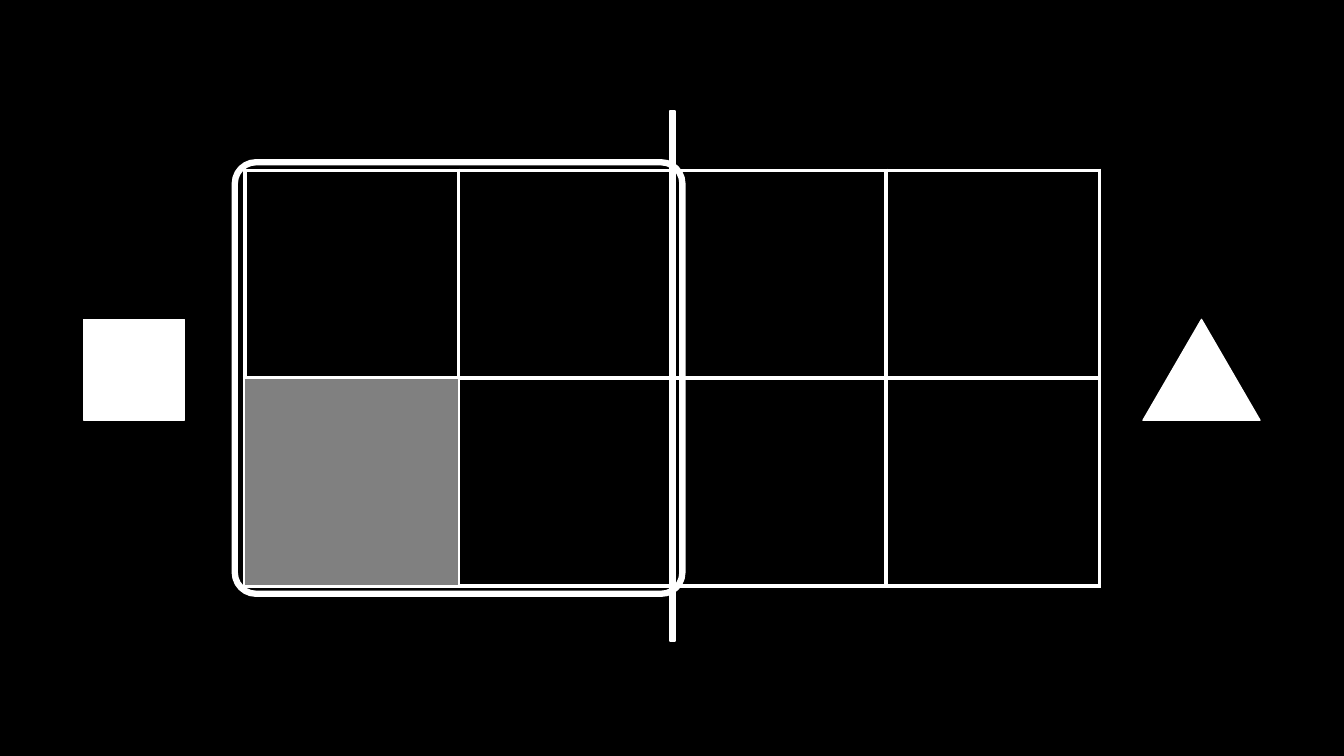
from lxml.etree import SubElement
from pptx import Presentation
from pptx.dml.color import RGBColor
from pptx.enum.shapes import MSO_SHAPE as Preset
from pptx.oxml.ns import qn
from pptx.util import Pt

COLORS = {"black": "000000", "white": "FFFFFF", "gray": "808080"}
SLIDE_BOX = (0, 0, 960, 540)
GRID_BOX = (174.75, 121.7, 610.6, 296.7)
SQUARE_BOX = (59.7, 228.2, 72, 72)
TRIANGLE_BOX = (816.5, 228.2, 83.5, 72)
ROWS, COLUMNS = 2, 4


def add_figure(slide, preset, box, fill=None, line="white", weight=1):
    shape = slide.shapes.add_shape(preset, *map(Pt, box))
    shape.shadow.inherit = False
    if fill:
        shape.fill.solid()
        shape.fill.fore_color.rgb = RGBColor.from_string(COLORS[fill])
    else:
        shape.fill.background()
    shape.line.color.rgb = RGBColor.from_string(COLORS[line])
    shape.line.width = Pt(weight)
    return shape


def set_borders(cell, color, weight):
    properties = cell._tc.get_or_add_tcPr()
    # Borders must come before the fill in the cell properties
    for index, side in enumerate(("lnL", "lnR", "lnT", "lnB")):
        border = SubElement(properties, qn(f"a:{side}"), w=str(Pt(weight)))
        solid = SubElement(border, qn("a:solidFill"))
        SubElement(solid, qn("a:srgbClr"), val=COLORS[color])
        properties.insert(index, border)


def add_grid(slide, box):
    table = slide.shapes.add_table(ROWS, COLUMNS, *map(Pt, box)).table
    table.first_row = table.horz_banding = False
    for column in table.columns:
        column.width = Pt(box[2] / COLUMNS)
    for row in table.rows:
        row.height = Pt(box[3] / ROWS)
    for cell in table.iter_cells():
        cell.fill.background()
        set_borders(cell, "white", 3)


def add_grid_marks(slide, box):
    left, top, width, height = box
    # Divider down the middle, reaching past the grid
    add_figure(slide, Preset.RECTANGLE,
               (left + width / 2 - 1.5, top - 42.3, 3.6, 378.6), "white")
    # Rounded frame around the left half
    frame = add_figure(slide, Preset.ROUNDED_RECTANGLE,
                       (left - 7, top - 5.8, width / 2 + 14.4, height + 11.5),
                       weight=4.5)
    frame.adjustments[0] = 0.049
    # Shaded lower left cell
    cell_width, cell_height = width / COLUMNS, height / ROWS
    add_figure(slide, Preset.RECTANGLE,
               (left, top + cell_height, cell_width + 0.5, cell_height), "gray")


def build_slide(slide, box):
    add_figure(slide, Preset.RECTANGLE, box, "black", "black")
    add_grid(slide, GRID_BOX)
    # Symbols on either side of the grid
    add_figure(slide, Preset.RECTANGLE, SQUARE_BOX, "white")
    add_figure(slide, Preset.ISOSCELES_TRIANGLE, TRIANGLE_BOX, "white")
    add_grid_marks(slide, GRID_BOX)


presentation = Presentation()
presentation.slide_width, presentation.slide_height = map(Pt, SLIDE_BOX[2:])
build_slide(presentation.slides.add_slide(presentation.slide_layouts[6]), SLIDE_BOX)
presentation.save("out.pptx")
